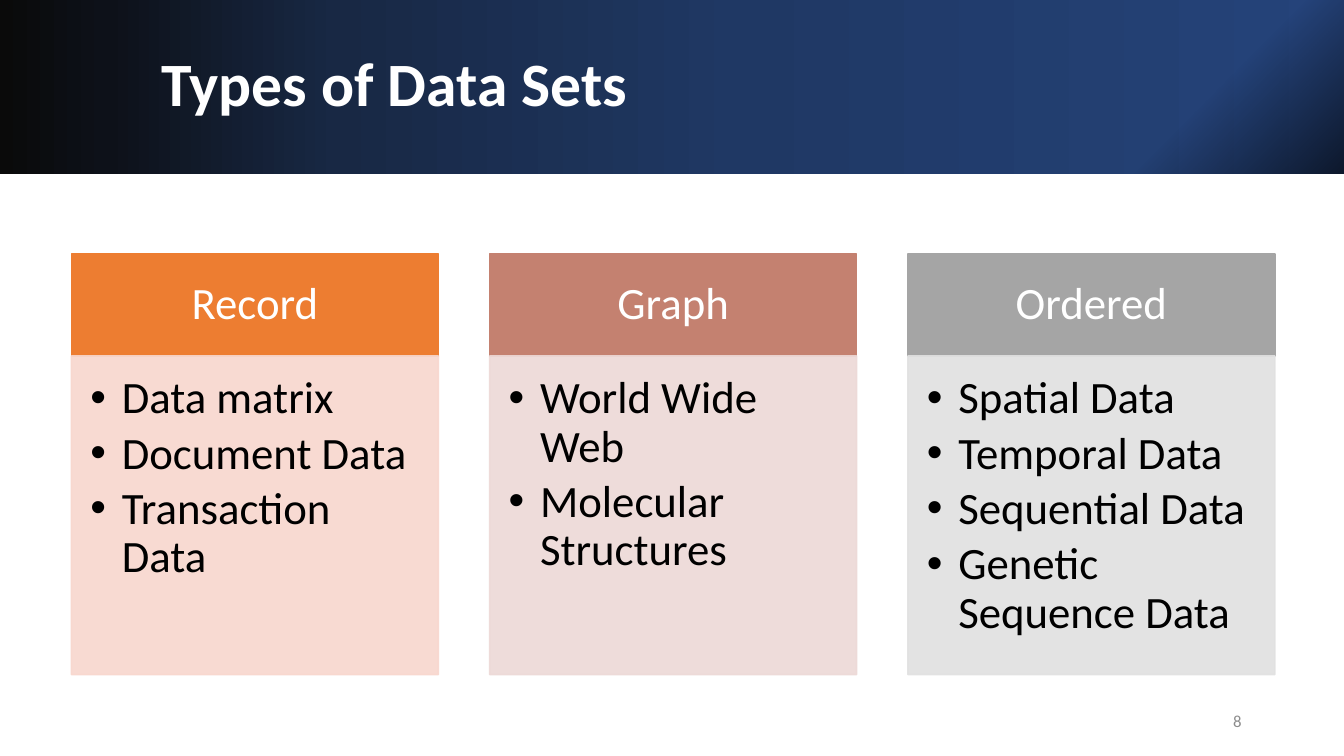
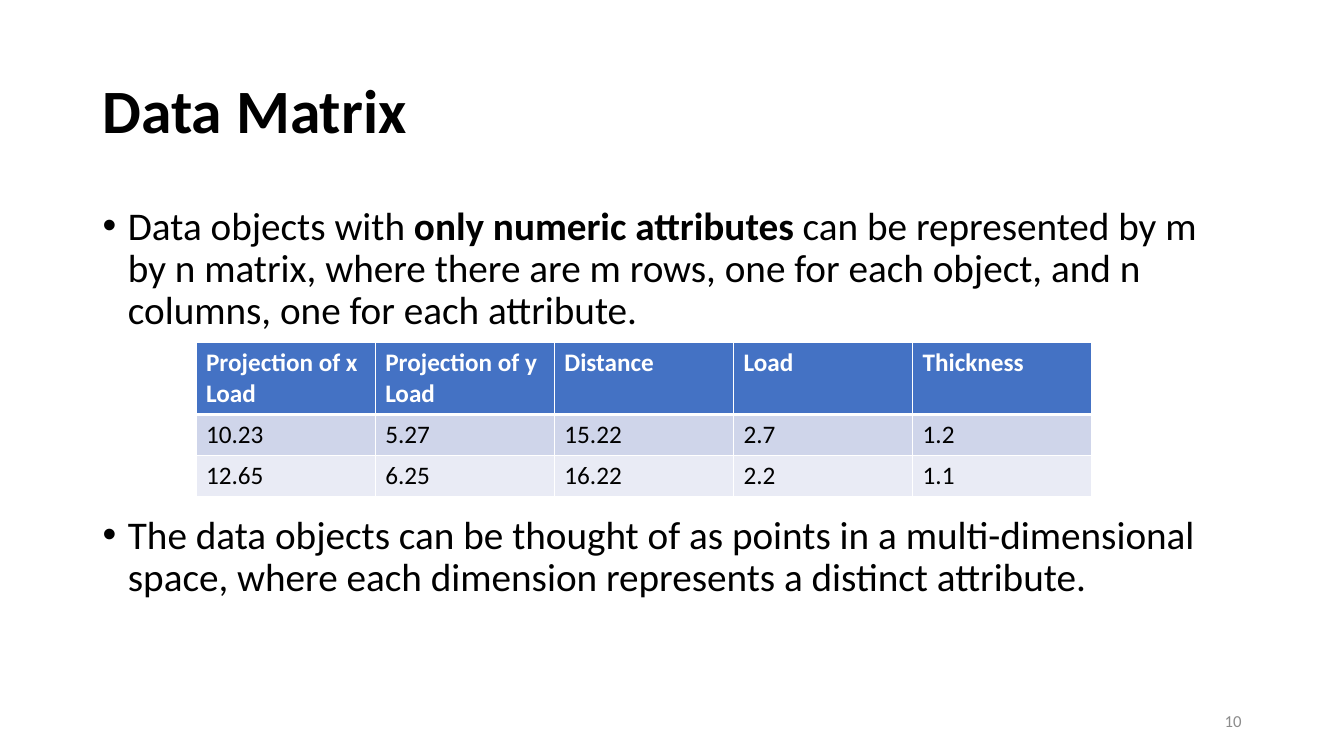
"""Build two slides on data set types and the data matrix."""
import lxml.etree
import pptx
import pptx.dml.color
import pptx.enum.shapes
import pptx.enum.text
import pptx.oxml
import pptx.oxml.ns
import pptx.util

Cm = pptx.util.Cm
Pt = pptx.util.Pt
ALIGN = pptx.enum.text.PP_ALIGN
ANCHOR = pptx.enum.text.MSO_ANCHOR
FONT = "Calibri"
WHITE, BLACK, GREY, BLUE = "FFFFFF", "000000", "8C8C8C", "4472C4"
SLIDE_WIDTH, SLIDE_HEIGHT, BAND_HEIGHT = 33.87, 19.05, 4.38

BAND_LAYERS = [
    (0, [(0, "0A0A0A", 100), (8, "0D1119", 100), (25, "182844", 100),
         (55, "1F3864", 100), (100, "25437A", 100)]),
    (45, [(0, BLACK, 0), (86, BLACK, 0), (100, BLACK, 65)]),
]

CATEGORIES = [
    ("Record", "ED7D31", "F8D7CE",
     ["Data matrix", "Document Data", "Transaction Data"]),
    ("Graph", "C48170", "EDD9D7",
     ["World Wide Web", "Molecular Structures"]),
    ("Ordered", "A5A5A5", "E1E1E1",
     ["Spatial Data", "Temporal Data", "Sequential Data",
      "Genetic Sequence Data"]),
]

MATRIX_INTRO = [
    ("Data objects with ", False),
    ("only numeric attributes ", True),
    ("can be represented by m by n matrix, where there are m rows, one for "
     "each object, and n columns, one for each attribute.", False),
]
MATRIX_NOTE = [
    ("The data objects can be thought of as points in a multi-dimensional "
     "space, where each dimension represents a distinct attribute.", False),
]
MATRIX_ROWS = [
    ["Projection of x Load", "Projection of y Load", "Distance", "Load",
     "Thickness"],
    ["10.23", "5.27", "15.22", "2.7", "1.2"],
    ["12.65", "6.25", "16.22", "2.2", "1.1"],
]
ROW_FILLS = [BLUE, "CFD5EA", "E9EBF5"]
ROW_HEIGHTS = [1.76, 1.03, 1.03]


def rgb(value):
    """Return the colour for a hex string."""
    return pptx.dml.color.RGBColor.from_string(value)


def add_xml(parent, tag, **attributes):
    """Append a drawing element with attributes to a parent."""
    element = lxml.etree.SubElement(parent, pptx.oxml.ns.qn(tag))
    for name, value in attributes.items():
        element.set(name, str(value))
    return element


def write(frame, paragraphs, size=32, colour=BLACK, bold=False,
          align=ALIGN.LEFT, anchor=ANCHOR.TOP, line_spacing=None,
          before=(), after=0, indent=None, margins=None):
    """Fill a text frame with strings or lists of (text, bold) runs."""
    frame.word_wrap = True
    frame.auto_size = pptx.enum.text.MSO_AUTO_SIZE.NONE
    frame.vertical_anchor = anchor
    if margins:
        (frame.margin_left, frame.margin_top, frame.margin_right,
         frame.margin_bottom) = [Cm(margin) for margin in margins]
    for index, runs in enumerate(paragraphs):
        paragraph = (frame.add_paragraph() if index
                     else frame.paragraphs[0])
        paragraph.alignment = align
        paragraph.line_spacing = line_spacing
        paragraph.space_before = Pt(before[index] if before else 0)
        paragraph.space_after = Pt(after)
        if indent:
            properties = paragraph._p.get_or_add_pPr()
            properties.set("marL", str(Cm(indent)))
            properties.set("indent", str(-Cm(indent)))
            add_xml(properties, "a:buFont", typeface="Arial")
            add_xml(properties, "a:buChar", char="•")
        if isinstance(runs, str):
            runs = [(runs, bold)]
        for text, run_bold in runs:
            run = paragraph.add_run()
            run.text = text
            run.font.name = FONT
            run.font.size = Pt(size)
            run.font.bold = run_bold
            run.font.color.rgb = rgb(colour)


def place(shape, left, top, width, height):
    """Move and size a shape in centimetres."""
    shape.left, shape.top = Cm(left), Cm(top)
    shape.width, shape.height = Cm(width), Cm(height)


def add_box(slide, box, fill, opacity=100):
    """Add a plain rectangle with a matching outline."""
    shape = slide.shapes.add_shape(
        pptx.enum.shapes.MSO_SHAPE.RECTANGLE, *[Cm(value) for value in box])
    shape.shadow.inherit = False
    shape.line.width = Pt(1)
    for target in (shape.fill, shape.line.fill):
        target.solid()
        target.fore_color.rgb = rgb(fill)
    if opacity < 100:
        for colour in shape.element.spPr.iter(pptx.oxml.ns.qn("a:srgbClr")):
            add_xml(colour, "a:alpha", val=opacity * 1000)
    return shape


def add_band(slide):
    """Lay the gradient band behind the slide title."""
    for angle, stops in BAND_LAYERS:
        layer = add_box(slide, (0, 0, SLIDE_WIDTH, BAND_HEIGHT), BLACK)
        layer.line.fill.background()
        solid = layer.element.spPr.find(pptx.oxml.ns.qn("a:solidFill"))
        gradient = pptx.oxml.parse_xml(
            f'<a:gradFill {pptx.oxml.ns.nsdecls("a")} rotWithShape="1"/>')
        stop_list = add_xml(gradient, "a:gsLst")
        for position, colour, opacity in stops:
            stop = add_xml(stop_list, "a:gs", pos=position * 1000)
            stop_colour = add_xml(stop, "a:srgbClr", val=colour)
            add_xml(stop_colour, "a:alpha", val=opacity * 1000)
        add_xml(gradient, "a:lin", ang=angle * 60000, scaled=0)
        solid.getparent().replace(solid, gradient)
        slide.shapes.title.element.addprevious(layer.element)


def add_slide(presentation, layout, title, box, colour, number):
    """Add a slide with the shared title style and page number."""
    slide = presentation.slides.add_slide(presentation.slide_layouts[layout])
    place(slide.shapes.title, *box)
    write(slide.shapes.title.text_frame, [title], size=44, colour=colour,
          bold=True, anchor=ANCHOR.MIDDLE, line_spacing=0.9)
    page = slide.shapes.add_textbox(Cm(23.92), Cm(17.66), Cm(7.62), Cm(1.01))
    write(page.text_frame, [number], size=12, colour=GREY,
          align=ALIGN.RIGHT, anchor=ANCHOR.MIDDLE)
    return slide


def add_categories(slide):
    """Draw one headed column for each category."""
    left, pitch, width = 1.8, 10.54, 9.25
    top, head_height, list_height = 6.4, 2.57, 8.03
    for index, (name, head_fill, list_fill, items) in enumerate(CATEGORIES):
        column = left + index * pitch
        head = add_box(slide, (column, top, width, head_height), head_fill)
        write(head.text_frame, [name], colour=WHITE, align=ALIGN.CENTER,
              anchor=ANCHOR.MIDDLE, line_spacing=0.9,
              margins=(0.64, 0.36, 0.64, 0.36))
        body = add_box(slide, (column, top + head_height, width, list_height),
                       list_fill, opacity=90)
        write(body.text_frame, items, line_spacing=0.9, after=5, indent=0.79,
              margins=(0.48, 0.48, 0.64, 0.72))


def add_matrix(slide):
    """Add the data matrix table with white cell borders."""
    table = slide.shapes.add_table(
        len(MATRIX_ROWS), len(MATRIX_ROWS[0]), Cm(4.94), Cm(8.64),
        Cm(22.58), Cm(sum(ROW_HEIGHTS))).table
    table.horz_banding = False
    for row, texts in enumerate(MATRIX_ROWS):
        table.rows[row].height = Cm(ROW_HEIGHTS[row])
        widths = {"L": 1, "R": 1, "T": 3 if row == 1 else 1,
                  "B": 3 if row == 0 else 1}
        for column, text in enumerate(texts):
            cell = table.cell(row, column)
            write(cell.text_frame, [text], size=18, bold=row == 0,
                  colour=BLACK if row else WHITE)
            properties = cell._tc.get_or_add_tcPr()
            for side, width in widths.items():
                border = add_xml(properties, f"a:ln{side}", w=Pt(width))
                line_fill = add_xml(border, "a:solidFill")
                add_xml(line_fill, "a:srgbClr", val=WHITE)
            cell.fill.solid()
            cell.fill.fore_color.rgb = rgb(ROW_FILLS[row])


def main():
    """Build and save the presentation."""
    presentation = pptx.Presentation()
    presentation.slide_width = Cm(SLIDE_WIDTH)
    presentation.slide_height = Cm(SLIDE_HEIGHT)

    types_slide = add_slide(presentation, 5, "Types of Data Sets",
                            (3.81, 0.97, 27.89, 2.44), WHITE, "8")
    add_band(types_slide)
    add_categories(types_slide)

    matrix_slide = add_slide(presentation, 1, "Data Matrix",
                             (2.33, 1.01, 29.21, 3.68), BLACK, "10")
    body = matrix_slide.placeholders[1]
    place(body, 2.33, 5.07, 29.21, 12.09)
    write(body.text_frame, [MATRIX_INTRO, MATRIX_NOTE], size=28,
          line_spacing=0.9, before=(10, 130), indent=0.64)
    add_matrix(matrix_slide)
    presentation.save("out.pptx")


if __name__ == "__main__":
    main()
